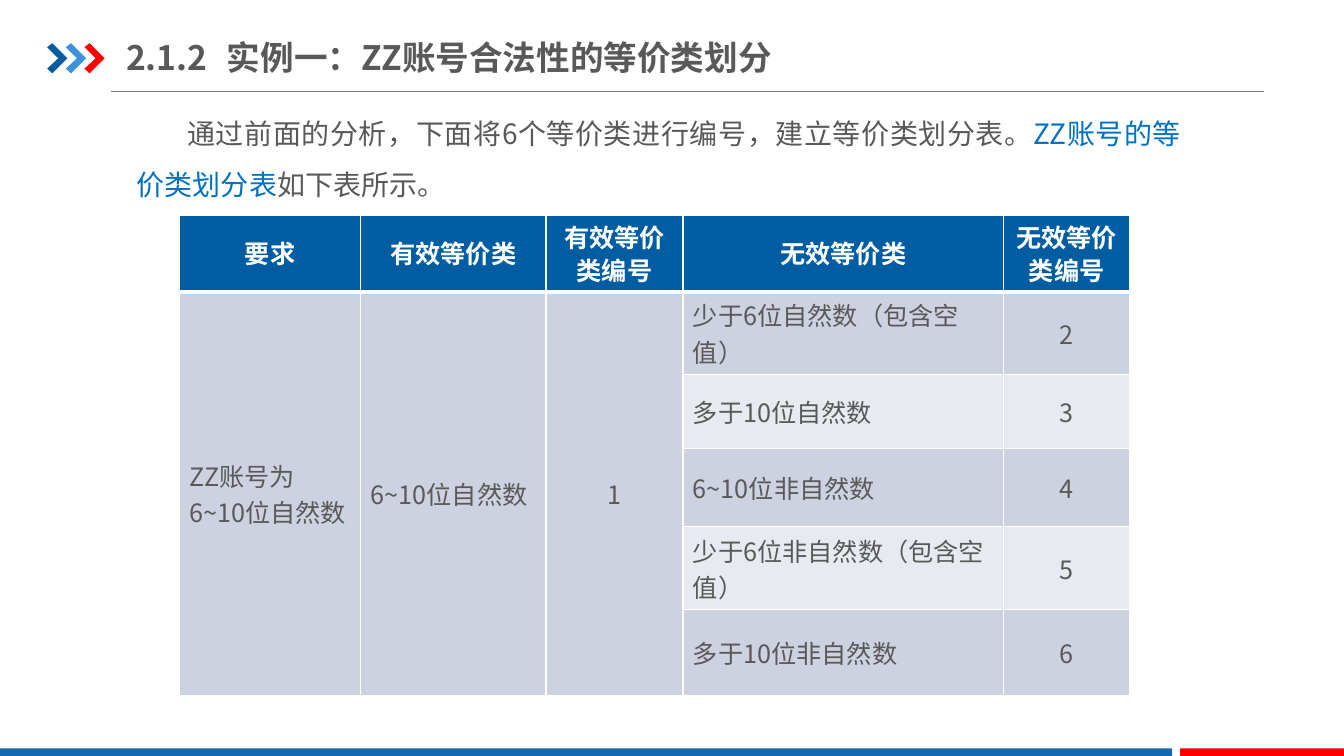
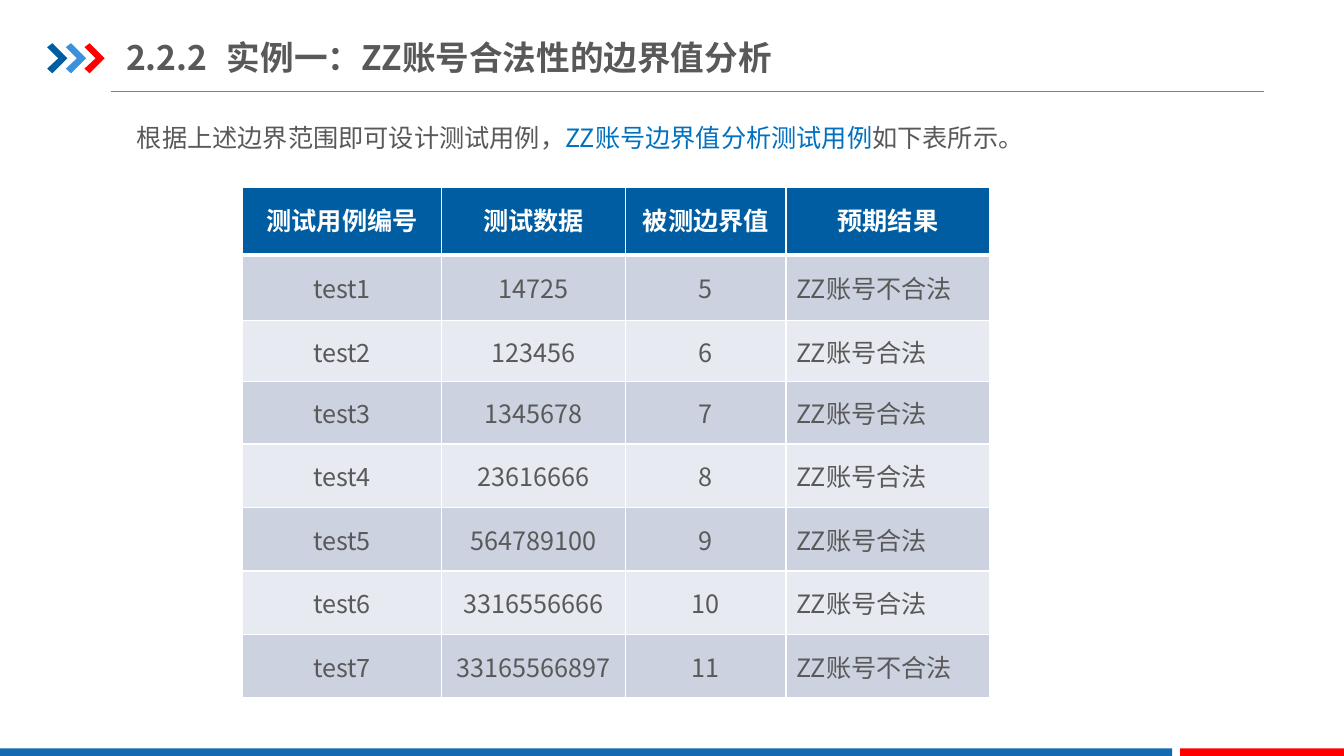
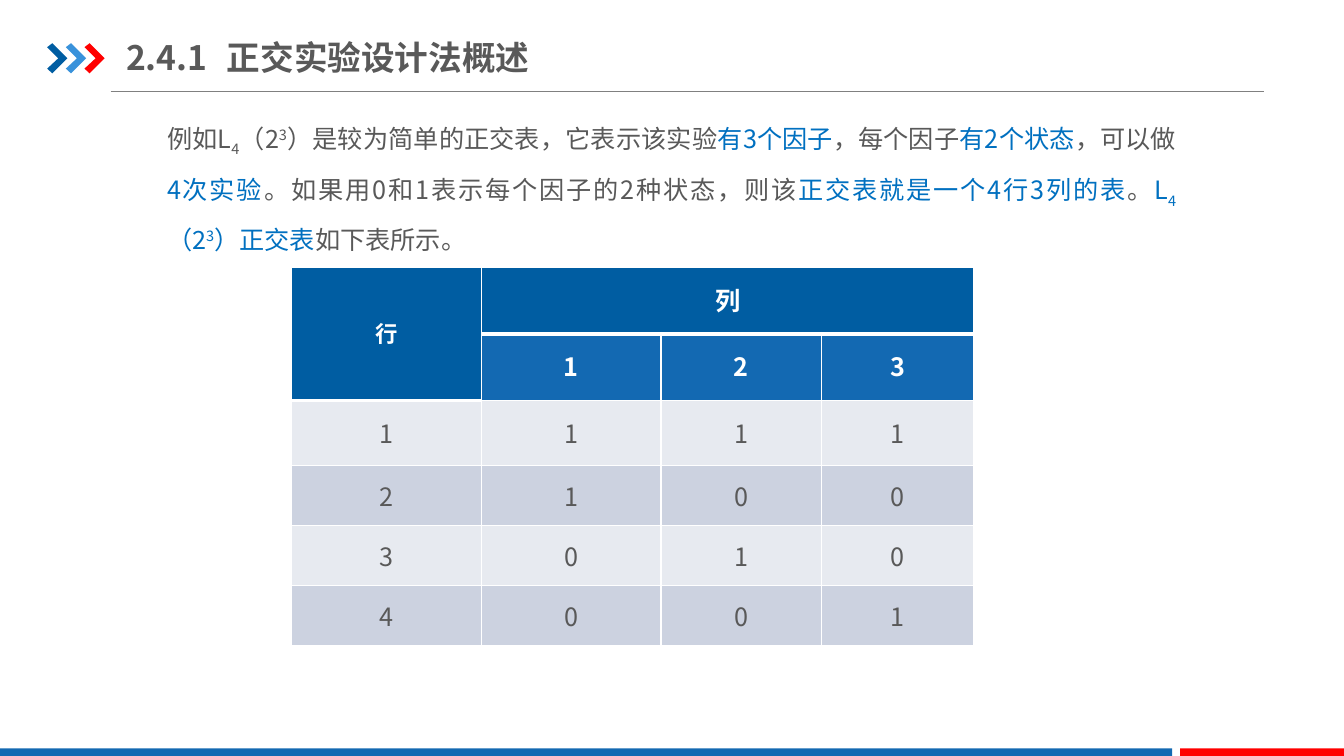
from lxml import etree
from pptx import Presentation
from pptx import util as u
from pptx.dml import color
from pptx.enum import shapes, text
from pptx.oxml import ns

FONT = "Noto Sans CJK SC"
GREY, WHITE, LINK = "595959", "FFFFFF", "0070C0"
NAVY, BLUE, SKY, RED, RULE = "005DA2", "1369B2", "3992DB", "FF0000", "808080"
HEADER_FILLS = (NAVY, BLUE)
BAND_FILLS = ("E7EAF0", "CCD2E0")
SUB, SUPER = -25000, 30000

CHEVRON = [(0, 0.1), (0.13, 0), (0.51, 0.38), (0.13, 0.76), (0, 0.64), (0.28, 0.38)]
BOTTOM_BANDS = [(0, 29.54, BLUE), (29.74, 4.13, RED)]

SLIDES = [
    {
        "title": "2.1.2\t实例一：ZZ账号合法性的等价类划分",
        "body": {
            "box": (3.12, 2.34, 26.97, 2.92), "size": 20, "indent": 1.27, "inset": (0.33, 0.18),
            "runs": [
                ("通过前面的分析，下面将6个等价类进行编号，建立等价类划分表。", GREY),
                ("ZZ账号的等价类划分表", LINK),
                ("如下表所示。", GREY),
            ],
        },
        "table": {
            "corner": (4.52, 5.44),
            "columns": [4.57, 4.67, 3.45, 8.08, 3.18],
            "heights": [1.37, 2.01, 1.85, 1.98, 2.01, 2.16],
            "left_columns": (0, 1, 3),
            "header_rows": 1,
            "merges": [((1, column), (5, column)) for column in range(3)],
            "rows": [
                ("要求", "有效等价类", "有效等价类编号", "无效等价类", "无效等价类编号"),
                ("ZZ账号为6~10位自然数", "6~10位自然数", "1", "少于6位自然数（包含空值）", "2"),
                ("", "", "", "多于10位自然数", "3"),
                ("", "", "", "6~10位非自然数", "4"),
                ("", "", "", "少于6位非自然数（包含空值）", "5"),
                ("", "", "", "多于10位非自然数", "6"),
            ],
        },
    },
    {
        "title": "2.2.2\t实例一：ZZ账号合法性的边界值分析",
        "body": {
            "box": (3.12, 2.51, 26.97, 1.96), "size": 18, "indent": 0, "inset": (0.33, 0.18),
            "runs": [
                ("根据上述边界范围即可设计测试用例，", GREY),
                ("ZZ账号边界值分析测试用例", LINK),
                ("如下表所示。", GREY),
            ],
        },
        "table": {
            "corner": (6.12, 4.72),
            "columns": [5, 4.65, 4.04, 5.13],
            "heights": [1.7, 1.65, 1.55, 1.57, 1.6, 1.6, 1.6, 1.6],
            "left_columns": (3,),
            "header_rows": 1,
            "merges": [],
            "rows": [
                ("测试用例编号", "测试数据", "被测边界值", "预期结果"),
                ("test1", "14725", "5", "ZZ账号不合法"),
                ("test2", "123456", "6", "ZZ账号合法"),
                ("test3", "1345678", "7", "ZZ账号合法"),
                ("test4", "23616666", "8", "ZZ账号合法"),
                ("test5", "564789100", "9", "ZZ账号合法"),
                ("test6", "3316556666", "10", "ZZ账号合法"),
                ("test7", "33165566897", "11", "ZZ账号不合法"),
            ],
        },
    },
    {
        "title": "2.4.1\t正交实验设计法概述",
        "body": {
            "box": (3.96, 2.54, 25.93, 3.71), "size": 18, "indent": 0, "inset": (0.25, 0.13),
            "runs": [
                ("例如L", GREY), ("4", GREY, SUB), ("（2", GREY), ("3", GREY, SUPER),
                ("）是较为简单的正交表，它表示该实验", GREY),
                ("有3个因子", LINK), ("，每个因子", GREY),
                ("有2个状态", LINK), ("，可以做", GREY),
                ("4次实验", LINK),
                ("。如果用0和1表示每个因子的2种状态，则该", GREY),
                ("正交表就是一个4行3列的表", LINK), ("。", GREY),
                ("L", LINK), ("4", LINK, SUB), ("（2", LINK), ("3", LINK, SUPER),
                ("）正交表", LINK), ("如下表所示。", GREY),
            ],
        },
        "table": {
            "corner": (7.34, 6.73),
            "columns": [4.8, 4.52, 4.04, 3.84],
            "heights": [1.68, 1.68, 1.63, 1.52, 1.52, 1.52],
            "left_columns": (),
            "header_rows": 2,
            "corner_size": 16,
            "merges": [((0, 0), (1, 0)), ((0, 1), (0, 3))],
            "rows": [
                ("行", "列", "", ""),
                ("", "1", "2", "3"),
                ("1", "1", "1", "1"),
                ("2", "1", "0", "0"),
                ("3", "0", "1", "0"),
                ("4", "0", "0", "1"),
            ],
        },
    },
]


def rgb(value):
    return color.RGBColor.from_string(value)


def cm(*values):
    return [u.Cm(value) for value in values]


def style(paragraph, size, colour, bold=False, align=text.PP_ALIGN.LEFT, spacing=1.0):
    paragraph.alignment = align
    paragraph.line_spacing = spacing
    font = paragraph.font
    font.name, font.size, font.bold = FONT, u.Pt(size), bold
    font.color.rgb = rgb(colour)
    defaults = paragraph._p.pPr.find(ns.qn("a:defRPr"))
    etree.SubElement(defaults, ns.qn("a:ea"), typeface=FONT)


def set_frame(frame, horizontal, vertical, anchor):
    frame.word_wrap = True
    frame.auto_size = text.MSO_AUTO_SIZE.NONE
    frame.vertical_anchor = anchor
    frame.margin_left = frame.margin_right = u.Cm(horizontal)
    frame.margin_top = frame.margin_bottom = u.Cm(vertical)


def paint(shape, colour):
    shape.shadow.inherit = False
    shape.fill.solid()
    shape.fill.fore_color.rgb = rgb(colour)
    shape.line.fill.background()


def decorate_layout(layout, slide):
    rule = slide.shapes.add_connector(shapes.MSO_CONNECTOR.STRAIGHT, *cm(2.79, 2.31, 31.85, 2.31))
    rule.line.color.rgb = rgb(RULE)
    rule.line.width = u.Pt(0.75)
    etree.SubElement(rule._element.spPr, ns.qn("a:effectLst"))
    furniture = [rule]
    for index, colour in enumerate((NAVY, SKY, RED)):
        points = [tuple(cm(1.19 + 0.47 * index + x, 1.09 + y)) for x, y in CHEVRON]
        builder = slide.shapes.build_freeform(*points[0])
        builder.add_line_segments(points[1:], close=True)
        chevron = builder.convert_to_shape()
        paint(chevron, colour)
        furniture.append(chevron)
    for left, width, colour in BOTTOM_BANDS:
        band = slide.shapes.add_shape(shapes.MSO_SHAPE.RECTANGLE, *cm(left, 18.86, width, 0.22))
        paint(band, colour)
        furniture.append(band)
    for shape in furniture:
        layout.shapes.element.append(shape.element)


def add_title(slide, title):
    shape = slide.shapes.title
    shape.left, shape.top, shape.width, shape.height = cm(3.18, 0.74, 17.91, 1.4)
    frame = shape.text_frame
    set_frame(frame, 0, 0.18, text.MSO_ANCHOR.MIDDLE)
    frame.text = title
    style(frame.paragraphs[0], 24, GREY, bold=True)


def add_body(slide, body):
    frame = slide.shapes.add_textbox(*cm(*body["box"])).text_frame
    set_frame(frame, *body["inset"], text.MSO_ANCHOR.TOP)
    paragraph = frame.paragraphs[0]
    style(paragraph, body["size"], GREY, align=text.PP_ALIGN.JUSTIFY, spacing=1.5)
    paragraph._p.pPr.set("indent", str(u.Cm(body["indent"])))
    for content, colour, *baseline in body["runs"]:
        run = paragraph.add_run()
        run.text = content
        run.font.color.rgb = rgb(colour)
        if baseline:
            run._r.get_or_add_rPr().set("baseline", str(baseline[0]))


def add_borders(cell, row):
    properties = cell._tc.get_or_add_tcPr()
    widths = {"lnL": 1, "lnR": 1, "lnT": 1, "lnB": 1 if row else 3}
    if row:
        del widths["lnT"]
    for side, width in widths.items():
        line = etree.SubElement(properties, ns.qn(f"a:{side}"), w=str(u.Pt(width)))
        fill = etree.SubElement(line, ns.qn("a:solidFill"))
        etree.SubElement(fill, ns.qn("a:srgbClr"), val=WHITE)


def add_grid(slide, grid):
    rows, columns, heights = grid["rows"], grid["columns"], grid["heights"]
    frame = slide.shapes.add_table(len(rows), len(columns), *cm(*grid["corner"], sum(columns), sum(heights)))
    table = frame.table
    table.first_row = table.horz_banding = False
    for column, width in zip(table.columns, columns):
        column.width = u.Cm(width)
    for row, height in zip(table.rows, heights):
        row.height = u.Cm(height)
    for row, values in enumerate(rows):
        header = row < grid["header_rows"]
        for column, value in enumerate(values):
            cell = table.cell(row, column)
            add_borders(cell, row)
            cell.fill.solid()
            cell.fill.fore_color.rgb = rgb(HEADER_FILLS[row] if header else BAND_FILLS[row % 2])
            cell.vertical_anchor = text.MSO_ANCHOR.MIDDLE
            cell.text = value
            left = column in grid["left_columns"] and not header
            size = grid.get("corner_size", 18) if row == column == 0 else 18
            style(
                cell.text_frame.paragraphs[0], size, WHITE if header else GREY, bold=header,
                align=text.PP_ALIGN.LEFT if left else text.PP_ALIGN.CENTER,
                spacing=0.9 if header else 1.0,
            )
    for first, last in grid["merges"]:
        table.cell(*first).merge(table.cell(*last))


def main():
    presentation = Presentation()
    presentation.slide_width, presentation.slide_height = cm(33.87, 19.05)
    layout = presentation.slide_layouts[5]
    for index, content in enumerate(SLIDES):
        slide = presentation.slides.add_slide(layout)
        if index == 0:
            decorate_layout(layout, slide)
        add_title(slide, content["title"])
        add_body(slide, content["body"])
        add_grid(slide, content["table"])
    presentation.save("out.pptx")


if __name__ == "__main__":
    main()
